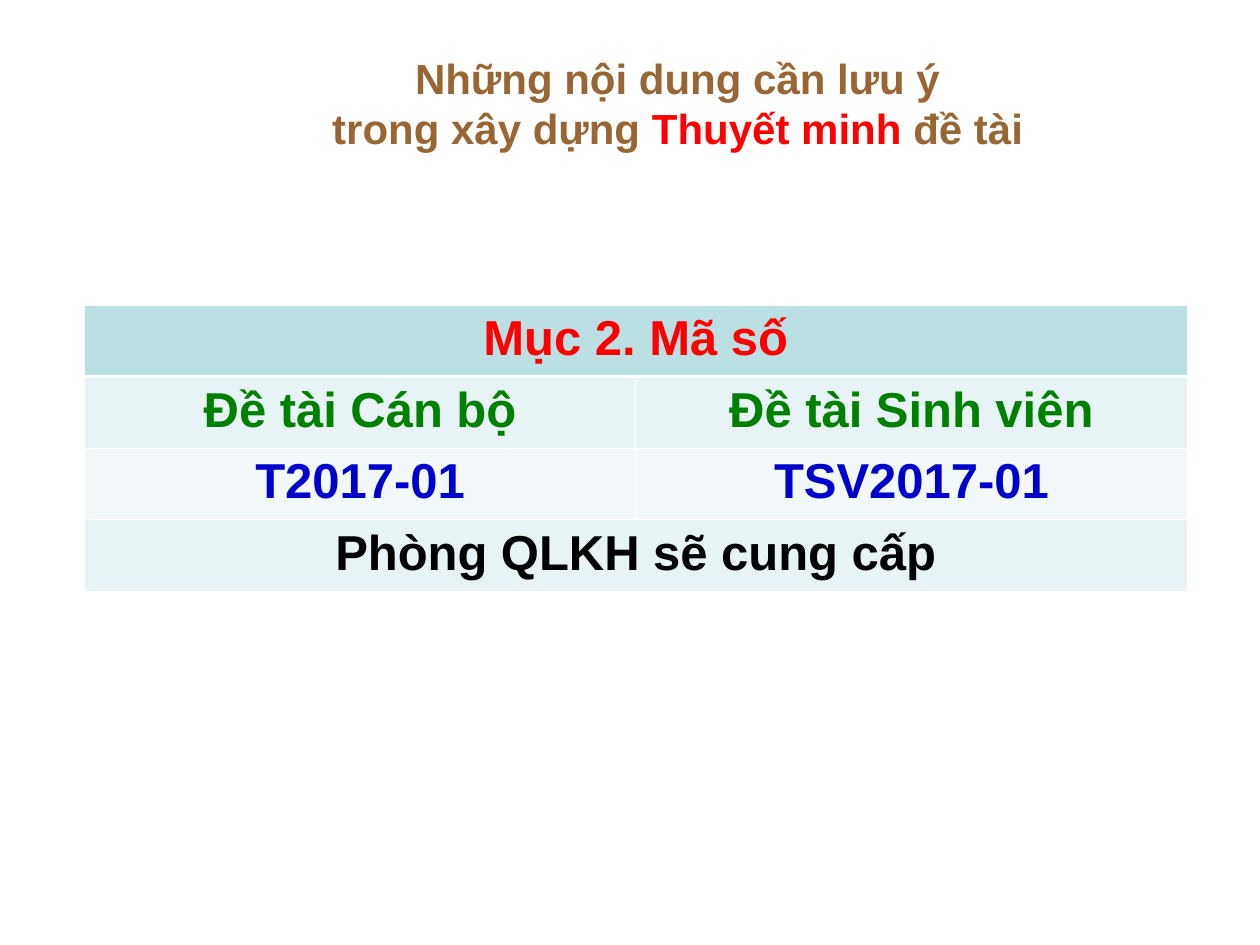
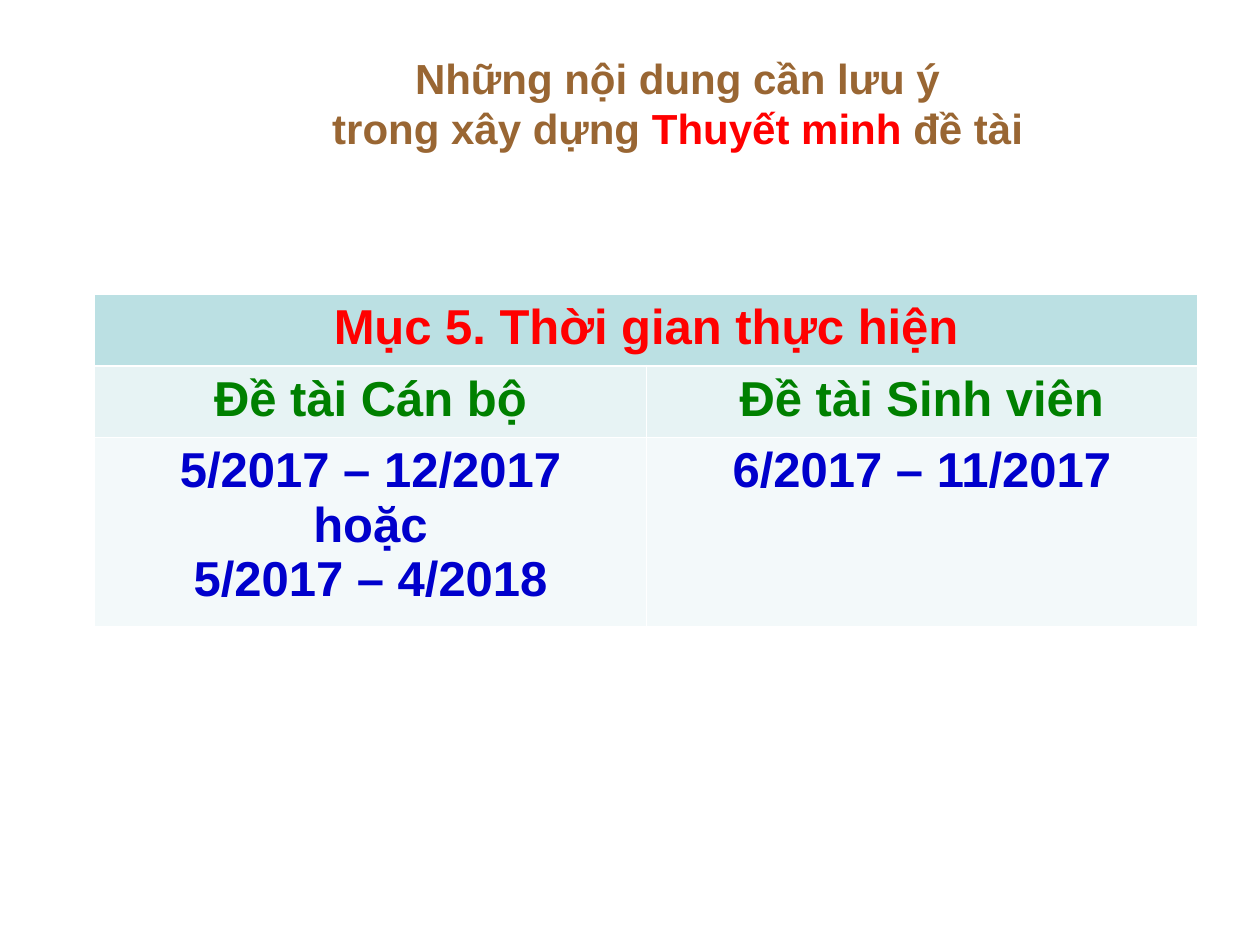
from lxml.etree import SubElement
from pptx import Presentation
from pptx.dml.color import RGBColor
from pptx.enum.text import MSO_ANCHOR as Anchor, PP_ALIGN as Align
from pptx.oxml.ns import qn
from pptx.util import Cm, Pt

BROWN, RED, GREEN, BLUE, BLACK = "996633", "FF0000", "008000", "0000CC", "000000"
WHITE, HEADER_FILL, BAND_DARK, BAND_LIGHT = "FFFFFF", "BBE0E3", "E7F3F4", "F3F9FA"
TITLE_LINES = [
    [("Những nội dung cần lưu ý", BROWN)],
    [("trong xây dựng ", BROWN), ("Thuyết minh ", RED), ("đề tài", BROWN)],
]
AUDIENCES = ["Đề tài Cán bộ", "Đề tài Sinh viên"]
THIN, THICK = 0.45, 1.47


def color(value):
    return RGBColor.from_string(value)


def apply(target, formats):
    for name, value in formats.items():
        setattr(target, name, value)


class Deck:
    font = "Arial"
    title_size = 24
    table_size = 28
    row_height = 1.44
    table_width = 22.23

    def __init__(self):
        self.file = Presentation()
        apply(self.file, {"slide_width": Cm(25.4), "slide_height": Cm(19.05)})
        self.page = None

    def add_page(self):
        self.page = self.file.slides.add_slide(self.file.slide_layouts[6])
        self.title()

    def span(self, para, text, size, ink):
        span = para.add_run()
        span.text = text
        apply(span.font, {"name": self.font, "size": Pt(size), "bold": True})
        span.font.color.rgb = color(ink)

    def title(self):
        box = self.page.shapes.add_textbox(Cm(3.18), Cm(0.76), Cm(20.96), Cm(2.62))
        apply(box.text_frame, {"word_wrap": True, "vertical_anchor": Anchor.MIDDLE})
        para = box.text_frame.paragraphs[0]
        para.alignment = Align.CENTER
        for index, line in enumerate(TITLE_LINES):
            if index:
                para.add_line_break()
            for text, ink in line:
                self.span(para, text, self.title_size, ink)

    def borders(self, cell, widths):
        properties = cell._tc.get_or_add_tcPr()
        for side, width in zip("LRTB", widths):
            line = SubElement(properties, qn(f"a:ln{side}"), w=str(Pt(width)))
            fill = SubElement(line, qn("a:solidFill"))
            SubElement(fill, qn("a:srgbClr"), val=WHITE)

    def fill_cell(self, cell, text, ink):
        for index, line in enumerate(text.split("\n")):
            frame = cell.text_frame
            para = frame.add_paragraph() if index else frame.paragraphs[0]
            para.alignment = Align.CENTER
            self.span(para, line, self.table_size, ink)

    def table(self, left, top, rows, last_height):
        heights = [self.row_height] * (len(rows) - 1) + [last_height]
        table = self.page.shapes.add_table(
            len(rows), 2, Cm(left), Cm(top), Cm(self.table_width), Cm(sum(heights))
        ).table
        for index, (texts, ink) in enumerate(rows):
            table.rows[index].height = Cm(heights[index])
            above = THICK if index == 1 else THIN
            below = THICK if index == 0 else THIN
            band = BAND_DARK if index % 2 else BAND_LIGHT
            for column in range(2):
                cell = table.cell(index, column)
                self.borders(cell, (THIN, THIN, above, below))
                cell.fill.solid()
                cell.fill.fore_color.rgb = color(band if index else HEADER_FILL)
            if len(texts) == 1:
                table.cell(index, 0).merge(table.cell(index, 1))
            for column, text in enumerate(texts):
                self.fill_cell(table.cell(index, column), text, ink)


def main():
    deck = Deck()

    deck.add_page()
    code_rows = [
        (["Mục 2. Mã số"], RED),
        (AUDIENCES, GREEN),
        (["T2017-01", "TSV2017-01"], BLUE),
        (["Phòng QLKH sẽ cung cấp"], BLACK),
    ]
    deck.table(1.7, 6.15, code_rows, deck.row_height)

    deck.add_page()
    period_rows = [
        (["Mục 5. Thời gian thực hiện"], RED),
        (AUDIENCES, GREEN),
        (["5/2017 – 12/2017\nhoặc\n5/2017 – 4/2018", "6/2017 – 11/2017"], BLUE),
    ]
    deck.table(1.91, 5.93, period_rows, 3.8)

    deck.file.save("out.pptx")


if __name__ == "__main__":
    main()
